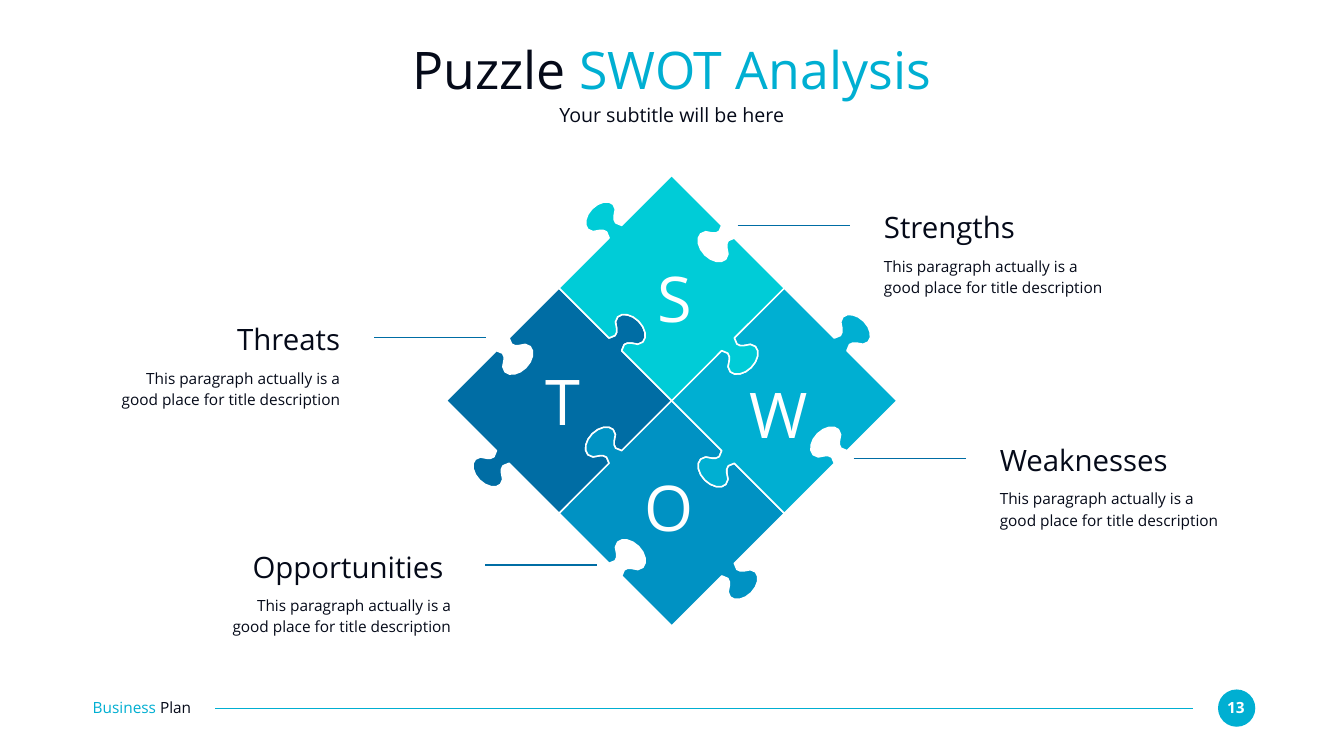
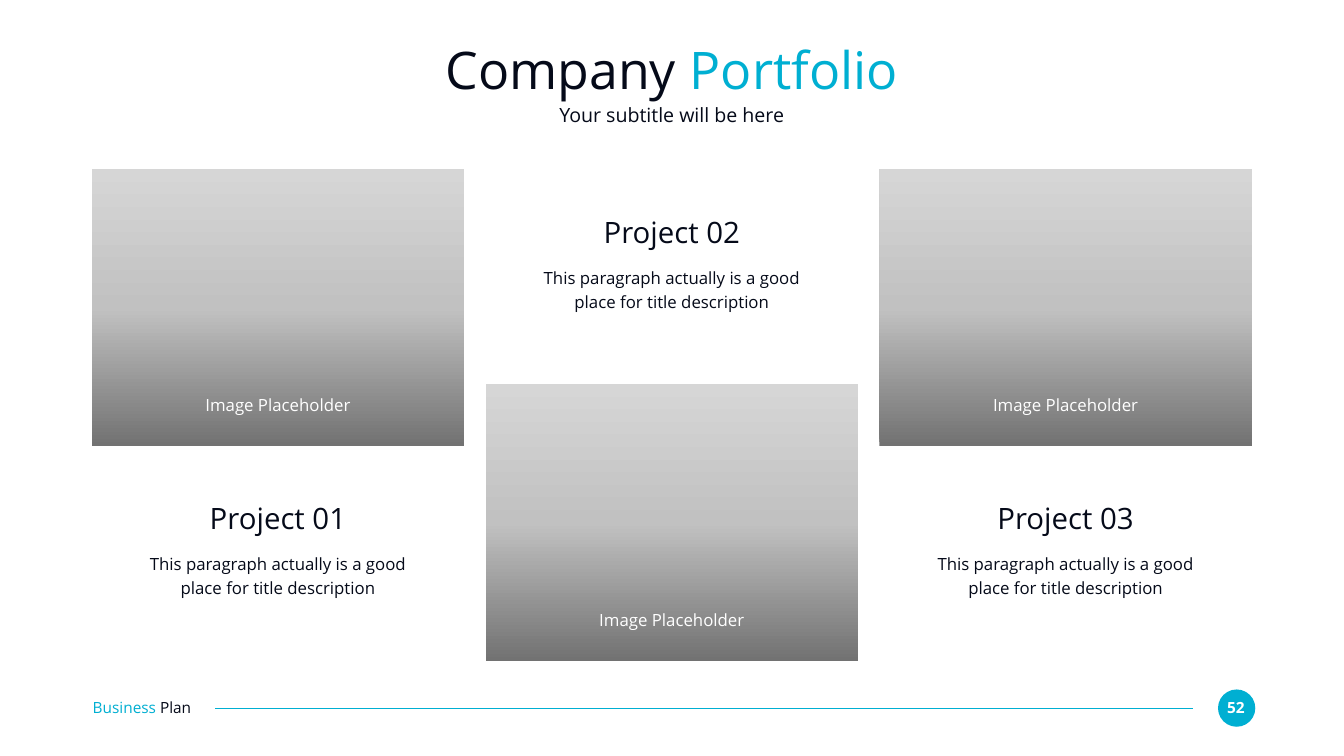
from copy import deepcopy
from dataclasses import dataclass

from lxml import etree
from pptx import Presentation
from pptx.dml.color import RGBColor
from pptx.enum.shapes import MSO_CONNECTOR, MSO_SHAPE
from pptx.enum.text import MSO_ANCHOR as Anchor, MSO_AUTO_SIZE as AutoSize, PP_ALIGN as Align
from pptx.oxml.ns import qn
from pptx.shapes.autoshape import Shape
from pptx.slide import Slide
from pptx.util import Inches, Pt

COLORS = {
    "ink": "050A19", "white": "FFFFFF", "accent": "00AFD2",
    "strengths": "00CCD7", "weaknesses": "00AFD2",
    "opportunities": "0092C3", "threats": "006DA4",
    "shade_dark": "727272", "shade_mid": "C1C1C1", "shade_light": "D6D6D6",
}
FONT = "Open Sans"
DESCRIPTION = "This paragraph actually is a good place for title description"

Point = tuple[float, float]
Part = tuple[str, str]  # text, color name


@dataclass
class Piece:
    letter: str
    color: str
    column: int  # steps from the board centre
    row: int
    knob_first: bool  # top-right edge has a knob; edges then alternate
    letter_at: Point


@dataclass
class Callout:
    heading: str
    left: float
    top: float
    on_left: bool
    inset: float = 0


@dataclass
class Project:
    heading: str
    image_top: float
    text_top: float


# Puzzle geometry: board centre, half diagonal of a piece
BOARD_X, BOARD_Y, REACH = 13.33, 7.95, 4.47 / 2
# Half a knob as Bezier curves (along the edge, outwards) from the edge's middle,
# each with the number of straight steps that draw it
KNOB_START = (-0.125, 0)
KNOB_CURVES = [
    (1, (-0.105, 0.01), (-0.09, 0.045), (-0.09, 0.085)),
    (2, (-0.095, 0.12), (-0.115, 0.15), (-0.145, 0.17)),
    (2, (-0.21, 0.195), (-0.25, 0.245), (-0.25, 0.295)),
    (4, (-0.25, 0.385), (-0.135, 0.46), (0, 0.46)),
]

PIECES = [
    Piece("T", "threats", -1, 0, True, (10.12, 7.19)),
    Piece("O", "opportunities", 0, 1, False, (12.22, 9.3)),
    Piece("W", "weaknesses", 1, 0, True, (14.4, 7.44)),
    Piece("S", "strengths", 0, -1, False, (12.35, 5.14)),
]
CALLOUTS = [
    Callout("Threats", 2.21, 6.37, True),
    Callout("Opportunities", 4.41, 10.88, True, inset=0.15),
    Callout("Strengths", 17.54, 4.15, False),
    Callout("Weaknesses", 19.84, 8.76, False),
]
PROJECTS = [
    Project("Project 01", 3.36, 9.92),
    Project("Project 02", 7.62, 4.24),
    Project("Project 03", 3.36, 9.92),
]


def rgb(name: str) -> RGBColor:
    return RGBColor.from_string(COLORS[name])


# Shared drawing helpers
def add_text(slide: Slide, left: float, top: float, width: float, height: float,
             parts: list[Part], size: float, align: Align = Align.LEFT,
             bold: bool = False) -> Shape:
    box = slide.shapes.add_textbox(Inches(left), Inches(top), Inches(width), Inches(height))
    frame = box.text_frame
    frame.word_wrap = True
    frame.vertical_anchor = Anchor.MIDDLE
    frame.margin_left = frame.margin_right = frame.margin_top = frame.margin_bottom = 0
    paragraph = frame.paragraphs[0]
    paragraph.alignment = align
    paragraph.font.name, paragraph.font.size, paragraph.font.bold = FONT, Pt(size), bold
    for text, color in parts:
        run = paragraph.add_run()
        run.text = text
        run.font.color.rgb = rgb(color)
    return box


def add_description(slide: Slide, left: float, top: float, width: float, height: float,
                    size: float, align: Align) -> None:
    box = add_text(slide, left, top, width, height, [(DESCRIPTION, "ink")], size, align)
    box.text_frame.paragraphs[0].line_spacing = 1.3
    box.text_frame.auto_size = AutoSize.TEXT_TO_FIT_SHAPE


def add_rule(slide: Slide, left: float, right: float, y: float, color: str) -> None:
    rule = slide.shapes.add_connector(
        MSO_CONNECTOR.STRAIGHT, Inches(left), Inches(y), Inches(right), Inches(y))
    rule.line.color.rgb = rgb(color)
    rule.line.width = Pt(1.5)
    etree.SubElement(rule._element.spPr, qn("a:effectLst"))


def add_plain_shape(slide: Slide, kind: MSO_SHAPE, left: float, top: float,
                    width: float, height: float) -> Shape:
    shape = slide.shapes.add_shape(
        kind, Inches(left), Inches(top), Inches(width), Inches(height))
    shape.shadow.inherit = False
    shape.line.fill.background()
    return shape


def add_base_slide(presentation: Presentation, title: list[Part], number: int) -> Slide:
    slide = presentation.slides.add_slide(presentation.slide_layouts[6])
    # Footer
    badge = add_plain_shape(slide, MSO_SHAPE.OVAL, 24.17, 13.68, 0.74, 0.74)
    badge.fill.solid()
    badge.fill.fore_color.rgb = rgb("accent")
    add_text(slide, 24.23, 13.85, 0.59, 0.37, [(str(number), "white")], 22, Align.CENTER, True)
    add_rule(slide, 4.27, 23.67, 14.05, "accent")
    add_text(slide, 1.84, 13.84, 2.59, 0.37, [("Business ", "accent"), ("Plan", "ink")], 22)
    # Title and subtitle
    add_text(slide, 1.83, 0.73, 23, 1.27, title, 74, Align.CENTER)
    add_text(slide, 1.83, 2.03, 23, 0.49, [("Your subtitle will be here", "ink")],
             28, Align.CENTER)
    return slide


# Puzzle
def bezier(a: Point, b: Point, c: Point, d: Point, t: float) -> Point:
    s = 1 - t
    x, y = (s**3 * p + 3 * s * s * t * q + 3 * s * t * t * r + t**3 * e
            for p, q, r, e in zip(a, b, c, d))
    return x, y


def knob_profile() -> list[Point]:
    points = [KNOB_START]
    for steps, first, second, end in KNOB_CURVES:
        start = points[-1]
        points += [bezier(start, first, second, end, step / steps)
                   for step in range(1, steps + 1)]
    return points + [(-along, out) for along, out in reversed(points[:-1])]


def piece_outline(piece: Piece) -> list[Point]:
    x, y = BOARD_X + piece.column * REACH, BOARD_Y + piece.row * REACH
    corners = [(x, y - REACH), (x + REACH, y), (x, y + REACH), (x - REACH, y)]
    profile = knob_profile()
    outline = []
    for index, (start_x, start_y) in enumerate(corners):
        end_x, end_y = corners[(index + 1) % 4]
        middle_x, middle_y = (start_x + end_x) / 2, (start_y + end_y) / 2
        along_x, along_y = (end_x - start_x) / REACH, (end_y - start_y) / REACH
        side = 1 if (index % 2 == 0) == piece.knob_first else -1
        outline.append((start_x, start_y))
        outline += [(middle_x + along * along_x + side * out * along_y,
                     middle_y + along * along_y - side * out * along_x)
                    for along, out in profile]
    return outline


def add_piece(slide: Slide, piece: Piece) -> None:
    points = [(Inches(x), Inches(y)) for x, y in piece_outline(piece)]
    builder = slide.shapes.build_freeform(*points[0])
    builder.add_line_segments(points[1:], close=True)
    shape = builder.convert_to_shape()
    shape.shadow.inherit = False
    shape.fill.solid()
    shape.fill.fore_color.rgb = rgb(piece.color)
    shape.line.color.rgb = rgb("white")
    shape.line.width = Pt(2.25)


def add_callout(slide: Slide, callout: Callout) -> None:
    width, rule_length, gap = 4.54, 2.22, 0.68
    left, top = callout.left, callout.top
    align = Align.RIGHT if callout.on_left else Align.LEFT
    add_text(slide, left, top, width - callout.inset, 0.71,
             [(callout.heading, "ink")], 42, align)
    add_description(slide, left, top + 0.85, width, 0.92, 22, align)
    rule_left = left + width + gap if callout.on_left else left - gap - rule_length
    add_rule(slide, rule_left, rule_left + rule_length, top + 0.33, "threats")


def build_swot(presentation: Presentation) -> None:
    slide = add_base_slide(presentation, [("Puzzle ", "ink"), ("SWOT Analysis", "accent")], 13)
    for piece in PIECES:
        add_piece(slide, piece)
    for callout in CALLOUTS:
        add_callout(slide, callout)
    for piece in PIECES:
        add_text(slide, *piece.letter_at, 2.1, 1.51, [(piece.letter, "white")], 90, Align.CENTER)


# Portfolio
def add_image_area(slide: Slide, left: float, top: float) -> None:
    area = add_plain_shape(slide, MSO_SHAPE.RECTANGLE, left, top, 7.39, 5.49)
    area.fill.gradient()
    area.fill.gradient_angle = 90
    stop_list = area._element.spPr.find(".//" + qn("a:gsLst"))
    stop_list.append(deepcopy(stop_list[0]))
    shades = ["shade_dark", "shade_mid", "shade_light"]
    for index, (stop, shade) in enumerate(zip(area.fill.gradient_stops, shades)):
        stop.position = index / 2
        stop.color.rgb = rgb(shade)
    add_text(slide, left + 0.84, top + 4.47, 5.71, 0.4,
             [("Image Placeholder", "white")], 24, Align.CENTER)


def build_portfolio(presentation: Presentation) -> None:
    slide = add_base_slide(presentation, [("Company ", "ink"), ("Portfolio", "accent")], 52)
    first_left, step = 1.82, 7.815
    for column, project in enumerate(PROJECTS):
        left = first_left + column * step
        add_text(slide, left + 0.72, project.text_top, 5.95, 0.71,
                 [(project.heading, "ink")], 42, Align.CENTER)
        add_description(slide, left + 0.72, project.text_top + 0.97, 5.95, 1.01,
                        24, Align.CENTER)
        add_image_area(slide, left, project.image_top)


def main() -> None:
    presentation = Presentation()
    presentation.slide_width, presentation.slide_height = Inches(26.67), Inches(15)
    build_swot(presentation)
    build_portfolio(presentation)
    presentation.save("out.pptx")


if __name__ == "__main__":
    main()
